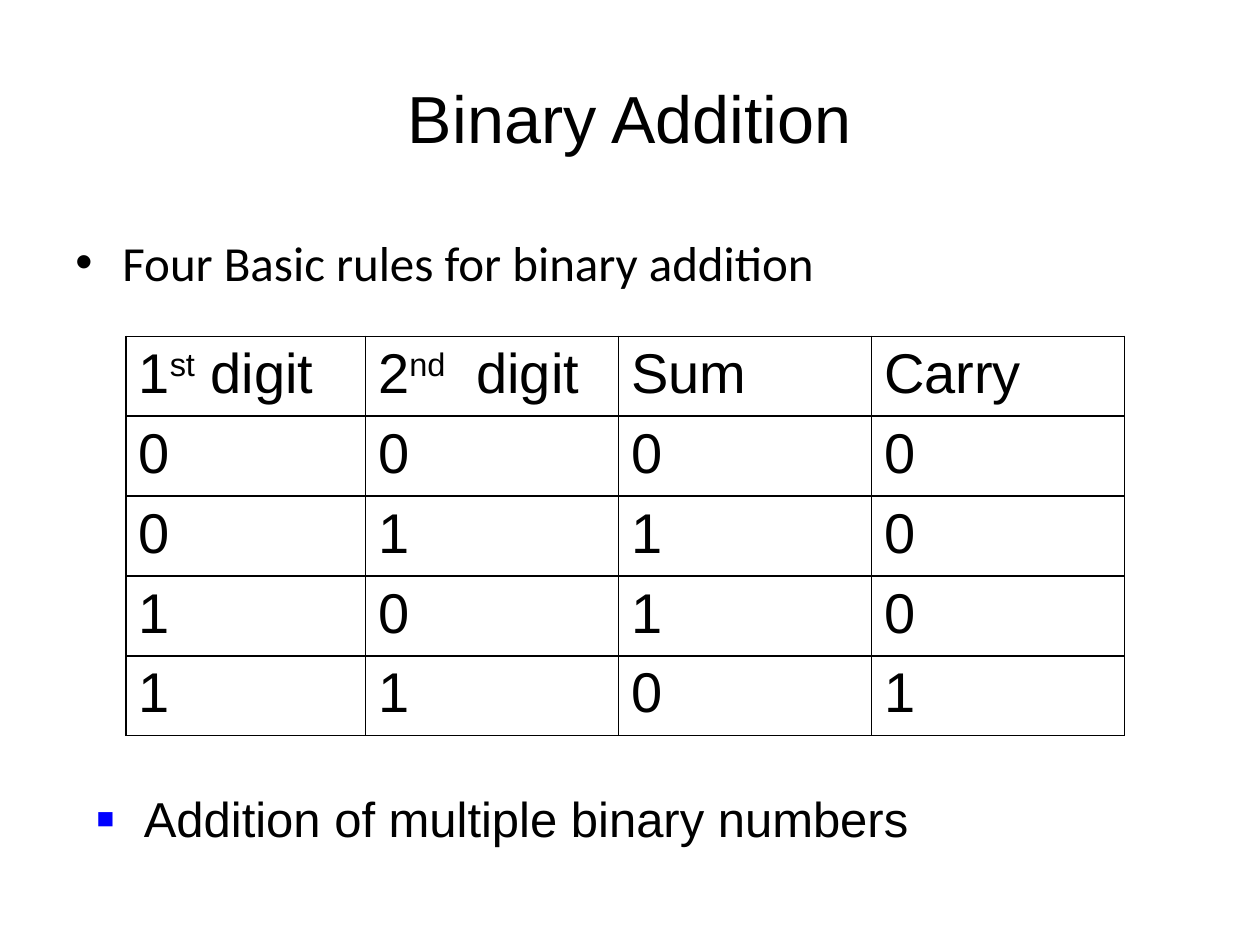
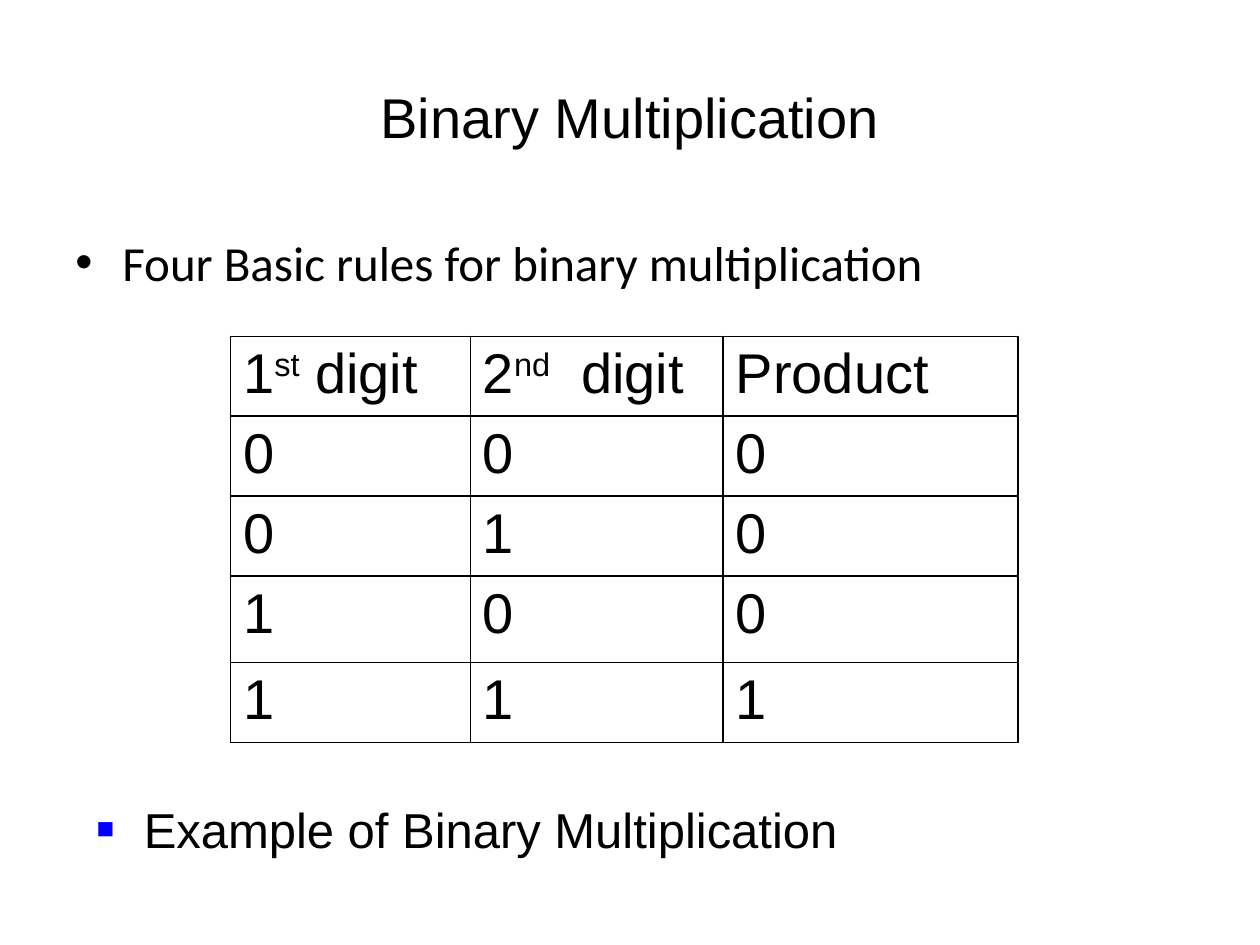
"""Build two slides with the rules of binary addition and multiplication."""
from lxml.etree import SubElement
from pptx import Presentation
from pptx.dml.color import RGBColor
from pptx.enum.text import MSO_ANCHOR, PP_ALIGN
from pptx.oxml.ns import qn
from pptx.util import Cm, Pt

INK = {"text": "000000", "line": "000000", "mark": "0000FF"}
HEAD = [[("1", 0), ("st", 30), (" digit", 0)],
        [("2", 0), ("nd", 30), ("  digit", 0)]]
DOT = {"char": "•", "face": "Arial"}
BOX = {"char": "■", "face": "Arial", "tint": INK["mark"], "size": 60}
PAIRS = [(0, 0), (0, 1), (1, 0), (1, 1)]

TOPICS = [
    {"title": "Binary Addition", "size": 38,
     "rule": "Four Basic rules for binary addition",
     "heads": ["Sum", "Carry"],
     "rows": [(a, b, a ^ b, a & b) for a, b in PAIRS],
     "left": 2.54, "wide": [4.83, 5.1, 5.1, 5.1], "high": [1.52] * 5,
     "next": "Addition of multiple binary numbers", "low": 15.67},
    {"title": "Binary Multiplication", "size": 32,
     "rule": "Four Basic rules for binary multiplication",
     "heads": ["Product"],
     "rows": [(a, b, a * b) for a, b in PAIRS],
     "left": 4.65, "wide": [4.83, 5.1, 5.94],
     "high": [1.61, 1.61, 1.61, 1.75, 1.61],
     "next": "Example of Binary Multiplication", "low": 15.88},
]


def write(para, parts, size, face="Arial", align=PP_ALIGN.LEFT):
    """Fill a paragraph with runs given as text and baseline shift."""
    para.alignment = align
    for text, shift in parts:
        run = para.add_run()
        run.text = text
        for key, value in {"size": Pt(size), "name": face, "bold": False}.items():
            setattr(run.font, key, value)
        run.font.color.rgb = RGBColor.from_string(INK["text"])
        if shift:
            run.font._element.set("baseline", str(shift * 1000))


def place(slide, left, top, width, height, mark=None):
    """Add a wrapped text box and return its first paragraph."""
    frame = slide.shapes.add_textbox(Cm(left), Cm(top), Cm(width), Cm(height)).text_frame
    style = {"word_wrap": True, "vertical_anchor": MSO_ANCHOR.MIDDLE}
    if mark:
        style.update(vertical_anchor=MSO_ANCHOR.TOP, margin_top=Cm(0.23))
    for key, value in style.items():
        setattr(frame, key, value)
    para = frame.paragraphs[0]
    if mark:
        props = para._p.get_or_add_pPr()
        props.set("marL", str(Cm(0.95)))
        props.set("indent", str(-Cm(0.95)))
        if "tint" in mark:
            tint = SubElement(props, qn("a:buClr"))
            SubElement(tint, qn("a:srgbClr"), val=mark["tint"])
            SubElement(props, qn("a:buSzPct"), val=str(mark["size"] * 1000))
        SubElement(props, qn("a:buFont"), typeface=mark["face"])
        SubElement(props, qn("a:buChar"), char=mark["char"])
    return para


deck = Presentation()
deck.slide_width, deck.slide_height = Cm(25.4), Cm(19.05)

for topic in TOPICS:
    slide = deck.slides.add_slide(deck.slide_layouts[6])
    title = place(slide, 1.27, 0.76, 22.86, 3.18)
    write(title, [(topic["title"], 0)], topic["size"], align=PP_ALIGN.CENTER)
    rule = place(slide, 1.27, 4.45, 22.66, 1.9, DOT)
    write(rule, [(topic["rule"], 0)], 28, "Calibri")

    wide, high = topic["wide"], topic["high"]
    grid = slide.shapes.add_table(len(high), len(wide), Cm(topic["left"]), Cm(6.78),
                                  Cm(sum(wide)), Cm(sum(high))).table
    grid.first_row = grid.horz_banding = False
    for col, width in zip(grid.columns, wide):
        col.width = Cm(width)
    for row, height in zip(grid.rows, high):
        row.height = Cm(height)

    lines = [HEAD + [[(head, 0)] for head in topic["heads"]]]
    lines += [[[(str(bit), 0)] for bit in bits] for bits in topic["rows"]]
    for row, line in zip(grid.rows, lines):
        for cell, parts in zip(row.cells, line):
            write(cell.text_frame.paragraphs[0], parts, 32, align=PP_ALIGN.JUSTIFY)
            props = cell._tc.get_or_add_tcPr()
            for side in ("lnL", "lnR", "lnT", "lnB"):
                edge = SubElement(props, qn("a:" + side), w=str(Pt(1)))
                fill = SubElement(edge, qn("a:solidFill"))
                SubElement(fill, qn("a:srgbClr"), val=INK["line"])
            cell.fill.background()

    follow = place(slide, 1.7, topic["low"], 22.66, 1.9, BOX)
    write(follow, [(topic["next"], 0)], 28)

deck.save("out.pptx")
